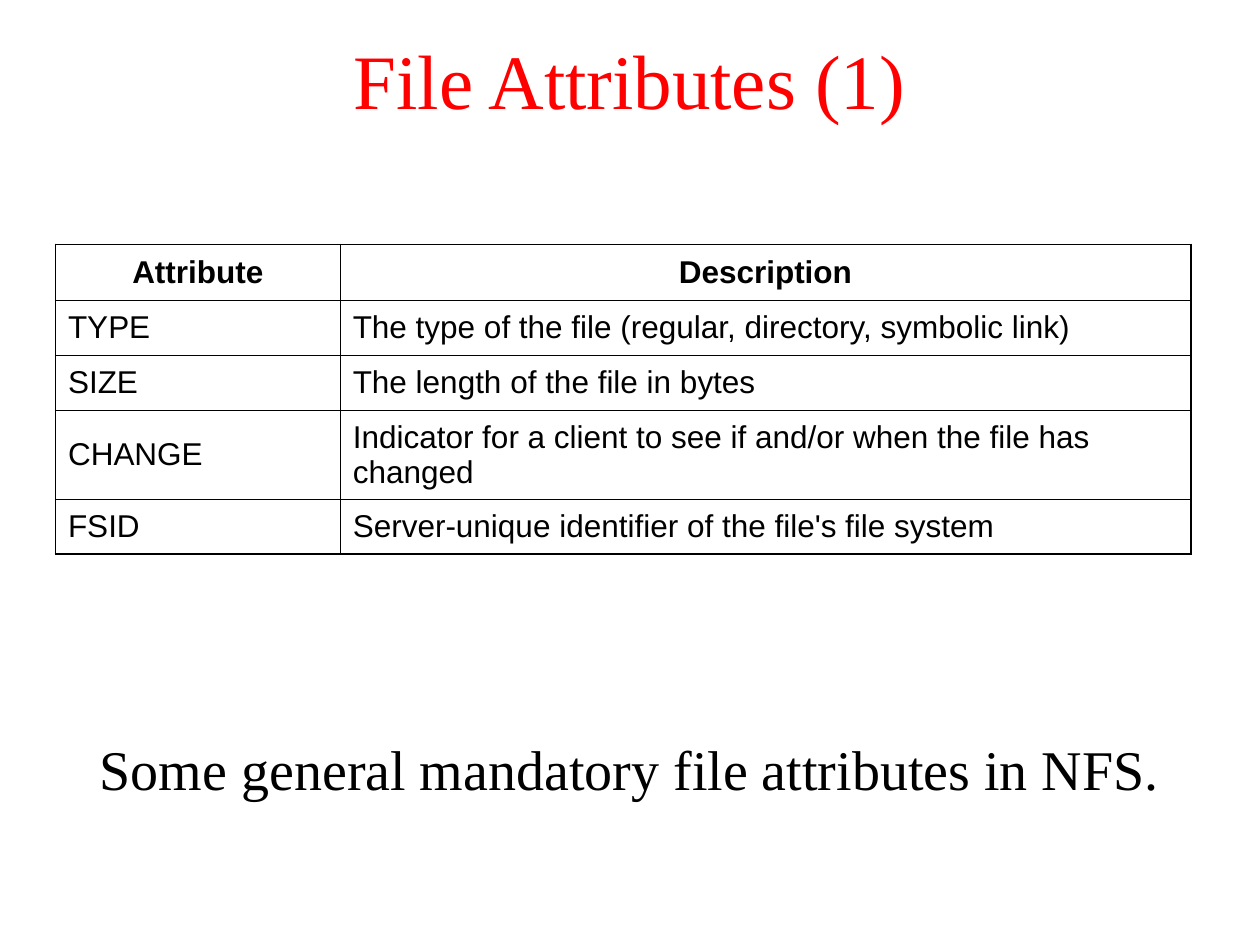
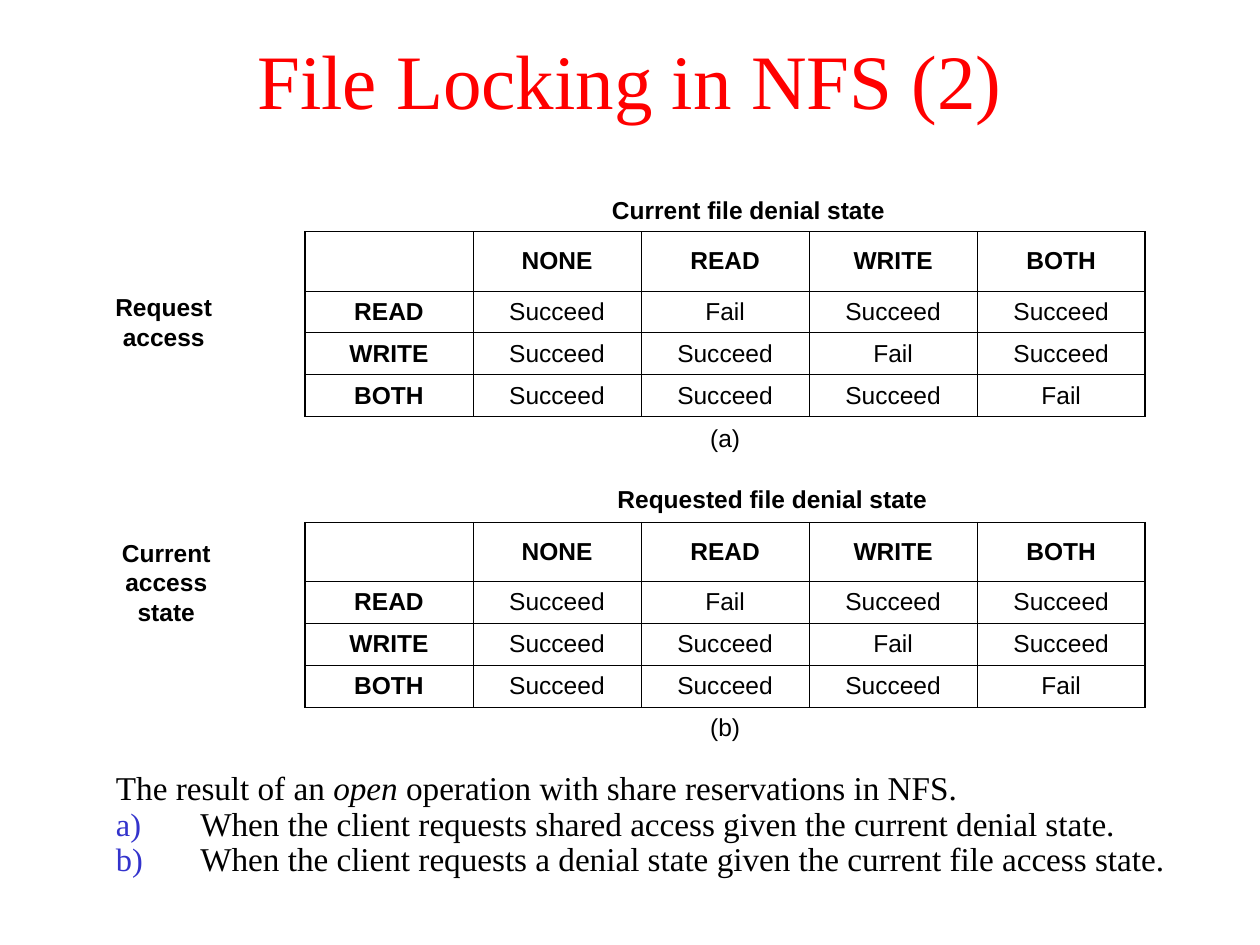
import pptx
import pptx.dml.color
import pptx.enum.text
import pptx.oxml.ns
import pptx.util
import lxml.etree

# Page grid: 100 columns by 75 rows
WIDTH, HEIGHT = pptx.util.Inches(10), pptx.util.Inches(7.5)
COLUMN, ROW = WIDTH / 100, HEIGHT / 75

SERIF, SANS = "Times New Roman", "Arial"
RED, BLACK, BLUE = "FF0000", "000000", "3333CC"
THIN, THICK = 0.45, 1.08
CENTER = pptx.enum.text.PP_ALIGN.CENTER
LEFT = pptx.enum.text.PP_ALIGN.LEFT
MIDDLE = pptx.enum.text.MSO_ANCHOR.MIDDLE

ATTRIBUTES = [
    ("Attribute", "Description"),
    ("TYPE", "The type of the file (regular, directory, symbolic link)"),
    ("SIZE", "The length of the file in bytes"),
    ("CHANGE", "Indicator for a client to see if and/or when the file has changed"),
    ("FSID", "Server-unique identifier of the file's file system"),
]
MODES = ["READ", "WRITE", "BOTH"]
LOCK_GRID = [["", "NONE"] + MODES] + [
    [request] + ["Succeed"] + ["Fail" if request == denial else "Succeed" for denial in MODES]
    for request in MODES
]


def color(hex_string):
    return pptx.dml.color.RGBColor.from_string(hex_string)


def grid_box(left, top, width, height):
    """Turn grid columns and rows into lengths."""
    return [round(value * unit) for value, unit in
            zip((left, top, width, height), (COLUMN, ROW, COLUMN, ROW))]


def place(shape, box):
    shape.left, shape.top, shape.width, shape.height = grid_box(*box)


def add_element(parent, tag, **attributes):
    return lxml.etree.SubElement(parent, pptx.oxml.ns.qn(tag), attributes)


def style(para, face, size, hue=BLACK, bold=False, align=LEFT, before=0):
    para.alignment = align
    para.space_before = pptx.util.Pt(before)
    para.font.name, para.font.size, para.font.bold = face, pptx.util.Pt(size), bold
    para.font.color.rgb = color(hue)


def indent(para, columns, hanging=0):
    properties = para._p.get_or_add_pPr()
    properties.set("marL", str(round(columns * COLUMN)))
    properties.set("indent", str(round(-hanging * COLUMN)))
    return properties


# Titles and body text
def new_page(deck, title):
    page = deck.slides.add_slide(deck.slide_layouts[1])
    place(page.shapes.title, (0, 0, 100, 12.5))
    frame = page.shapes.title.text_frame
    frame.text = title
    frame.vertical_anchor = MIDDLE
    style(frame.paragraphs[0], SERIF, 44, RED, align=CENTER)
    return page


def body_frame(page, box):
    body = page.placeholders[1]
    place(body, box)
    return body.text_frame


def add_caption(page, box, text):
    frame = body_frame(page, box)
    frame.auto_size = pptx.enum.text.MSO_AUTO_SIZE.NONE
    frame.text = text
    para = frame.paragraphs[0]
    style(para, SERIF, 32, align=CENTER, before=8)
    add_element(indent(para, 3.8, 3.8), "a:buNone")


def add_lettered_notes(page, box, lead, notes):
    frame = body_frame(page, box)
    frame.auto_size = pptx.enum.text.MSO_AUTO_SIZE.TEXT_TO_FIT_SHAPE
    fit = frame._txBody.bodyPr.find(pptx.oxml.ns.qn("a:normAutofit"))
    fit.set("fontScale", "92500")
    fit.set("lnSpcReduction", "20000")
    for text, italic in lead:
        span = frame.paragraphs[0].add_run()
        span.text, span.font.italic = text, italic
    for note in notes:
        frame.add_paragraph().text = note
    for number, para in enumerate(frame.paragraphs):
        style(para, SERIF, 20, before=5)
        para.line_spacing = 0.9
        properties = indent(para, 6.7, 6.7)
        if number:
            add_element(add_element(properties, "a:buClr"), "a:srgbClr", val=BLUE)
            add_element(properties, "a:buFont", typeface=SERIF)
            add_element(properties, "a:buAutoNum", type="alphaLcParenR")
        else:
            add_element(properties, "a:buNone")


def add_side_label(page, box, text):
    frame = page.shapes.add_textbox(*grid_box(*box)).text_frame
    frame.word_wrap = True
    frame.text = text
    style(frame.paragraphs[0], SANS, 14, bold=True, align=CENTER, before=8.8)


# Tables
def add_plain_table(page, box, columns, rows):
    """Add a table whose column and row sizes are in grid units."""
    table = page.shapes.add_table(len(rows), len(columns), *grid_box(*box)).table
    table.first_row = table.horz_banding = False
    for column, width in zip(table.columns, columns):
        column.width = round(width * COLUMN)
    for row, height in zip(table.rows, rows):
        row.height = round(height * ROW)
    return table


def finish_cell(cell, left, right, top, bottom):
    """Give the cell its borders (0 means none) and no fill."""
    cell.vertical_anchor = MIDDLE
    properties = cell._tc.get_or_add_tcPr()
    for side, width in zip("LRTB", (left, right, top, bottom)):
        line = add_element(properties, "a:ln" + side, w=str(pptx.util.Pt(width)))
        if width:
            add_element(add_element(line, "a:solidFill"), "a:srgbClr", val=BLACK)
        else:
            add_element(line, "a:noFill")
    cell.fill.background()


def add_attribute_table(page, box):
    table = add_plain_table(page, box, [22.6, 67.5], [4.4, 4.4, 4.4, 7, 4.4])
    last = len(ATTRIBUTES) - 1
    for r, texts in enumerate(ATTRIBUTES):
        for c, text in enumerate(texts):
            cell = table.cell(r, c)
            cell.text = text
            style(cell.text_frame.paragraphs[0], SANS, 18, bold=r == 0,
                  align=LEFT if r else CENTER, before=4.5)
            finish_cell(cell, THIN if c else THICK, THICK if c else THIN,
                        THIN if r else THICK, THICK if r == last else THIN)


def fill_band(table, r, lines, top, bottom):
    """Merge a row and write (text, bold, indent, space before) lines in it."""
    last = len(table.columns) - 1
    table.cell(r, 0).merge(table.cell(r, last))
    frame = table.cell(r, 0).text_frame
    for number, (text, bold, margin, before) in enumerate(lines):
        para = frame.add_paragraph() if number else frame.paragraphs[0]
        para.text = text
        style(para, SANS, 14, bold=bold, align=CENTER, before=before)
        indent(para, margin)
    for c in range(last + 1):
        finish_cell(table.cell(r, c), 0, 0, top, bottom)


def fill_lock_grid(table, first_row):
    last = len(table.columns) - 1
    for r, texts in enumerate(LOCK_GRID):
        for c, text in enumerate(texts):
            cell = table.cell(first_row + r, c)
            cell.text = text
            style(cell.text_frame.paragraphs[0], SANS, 14, bold=r == 0 or c == 0,
                  align=CENTER, before=3.5)
            finish_cell(cell, THIN if c else THICK, THICK if c == last else THIN, THIN, THIN)


def add_lock_table(page, box):
    grid_rows = [4.7] + [3.32] * 3
    table = add_plain_table(page, box, [box[2] / 5] * 5,
                            [3.3] + grid_rows + [8.4] + grid_rows + [3.3])
    fill_band(table, 0, [("Current file denial state", True, 3.7, 3.5)], 0, THIN)
    fill_lock_grid(table, 1)
    fill_band(table, 5, [("(a)", False, 0, 3.5),
                         ("Requested file denial state", True, 7.5, 19.5)], THIN, THIN)
    fill_lock_grid(table, 6)
    fill_band(table, 10, [("(b)", False, 0, 3.5)], THIN, 0)


# Pages
def attributes_page(deck):
    page = new_page(deck, "File Attributes (1)")
    add_caption(page, (0, 57.8, 100, 9.2), "Some general mandatory file attributes in NFS.")
    add_attribute_table(page, (4.4, 19.4, 90.1, 24.6))


def locking_page(deck):
    page = new_page(deck, "File Locking in NFS (2)")
    add_lettered_notes(
        page, (8.2, 61.2, 91.8, 9.2),
        [("The result of an ", False), ("open", True),
         (" operation with share reservations in NFS.", False)],
        ["When the client requests shared access given the current denial state.",
         "When the client requests a denial state given the current file access state."])
    add_lock_table(page, (24.2, 15.1, 66.7, 44.3))
    add_side_label(page, (6.8, 22.7, 12.4, 5.7), "Request\vaccess")
    add_side_label(page, (7, 42.2, 12.4, 8), "Current\vaccess\vstate")


def main():
    deck = pptx.Presentation()
    deck.slide_width, deck.slide_height = WIDTH, HEIGHT
    attributes_page(deck)
    locking_page(deck)
    deck.save("out.pptx")


if __name__ == "__main__":
    main()
